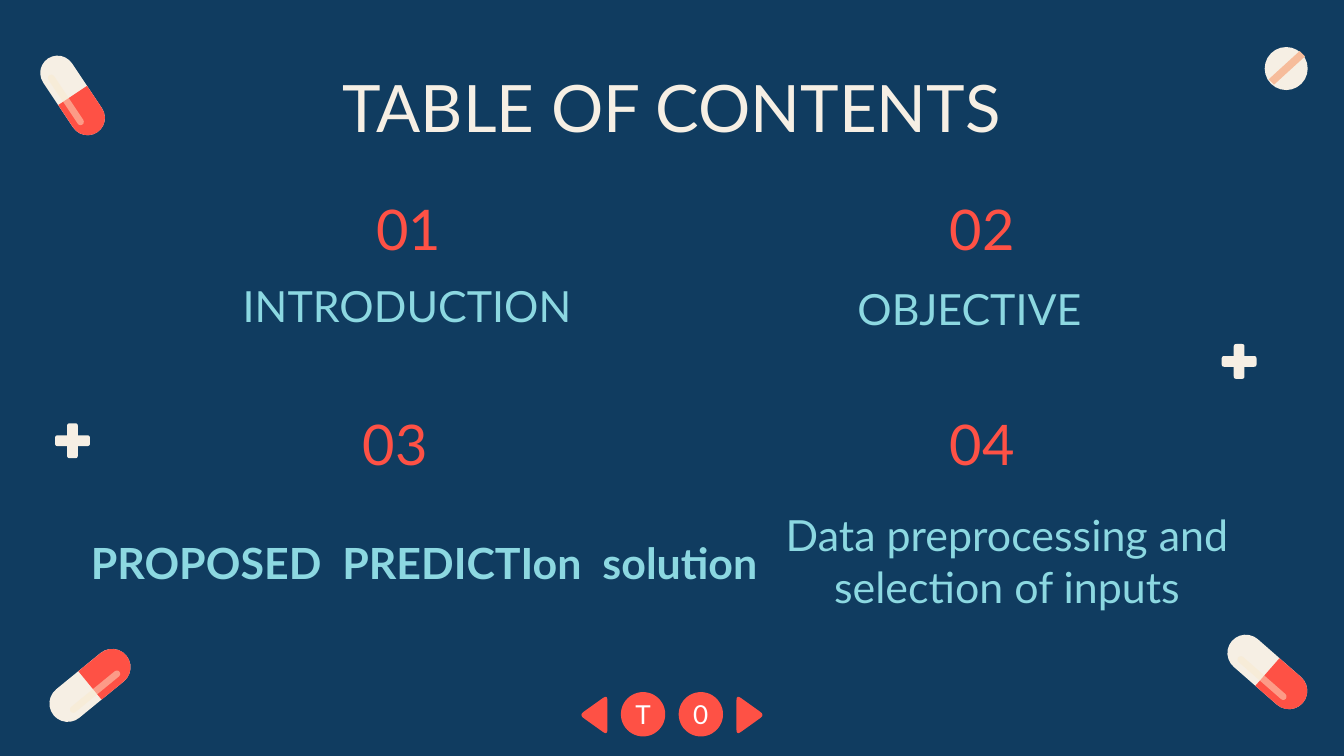
from math import cos, hypot, radians, sin

from lxml import etree
from pptx import Presentation
from pptx.dml.color import RGBColor
from pptx.enum.shapes import MSO_SHAPE
from pptx.enum.text import MSO_ANCHOR, MSO_AUTO_SIZE, PP_ALIGN
from pptx.oxml.ns import qn
from pptx.util import Inches, Pt

OVAL = MSO_SHAPE.OVAL
CAPSULE = MSO_SHAPE.ROUNDED_RECTANGLE
CAP = MSO_SHAPE.ROUND_2_SAME_RECTANGLE
TOP, MIDDLE = MSO_ANCHOR.TOP, MSO_ANCHOR.MIDDLE
CENTER = PP_ALIGN.CENTER
NO_AUTOFIT = MSO_AUTO_SIZE.NONE

NAVY, CREAM, RED, AQUA = "103C60", "F6EFE4", "FE5145", "8CD8E1"
PEACH, SHINE, WHITE = "F6BC9B", "FAE9CD", "FFFFFF"
FONT = "Lato"


def paint(fill, color):
    fill.solid()
    fill.fore_color.rgb = RGBColor.from_string(color)


def add_polygon(shapes, corners, color):
    """Draw a polygon from (x, y, radius) corners, rounding each by its radius."""
    points = []
    for i, (x, y, radius) in enumerate(corners):
        if not radius:
            points.append((x, y))
            continue
        ends = []
        for nx, ny, _ in (corners[i - 1], corners[(i + 1) % len(corners)]):
            share = radius / hypot(nx - x, ny - y)
            ends.append((x + (nx - x) * share, y + (ny - y) * share))
        for t in (0, 0.25, 0.5, 0.75, 1):
            weights = ((1 - t) ** 2, 2 * t * (1 - t), t ** 2)
            curve = (ends[0], (x, y), ends[1])
            points.append(tuple(sum(w * p[k] for w, p in zip(weights, curve)) for k in (0, 1)))
    points = [(Inches(x), Inches(y)) for x, y in points]
    builder = shapes.build_freeform(*points[0])
    builder.add_line_segments(points[1:], close=True)
    shape = builder.convert_to_shape()
    paint(shape.fill, color)
    shape.line.fill.background()
    shape.shadow.inherit = False


deck = Presentation()
deck.slide_width, deck.slide_height = Inches(10), Inches(10 * 9 / 16)
slide = deck.slides.add_slide(deck.slide_layouts[5])
shapes = slide.shapes
paint(slide.background.fill, NAVY)

# Plus signs: rounded outer corners, sharp inner ones
arm, reach = 0.04, 0.13
for x, y in ((0.54, 3.28), (9.22, 2.69)):
    corners = []
    for dx, dy in ((1, 0), (0, 1), (-1, 0), (0, -1)):
        for along, across, radius in ((reach, -arm, 0.02), (reach, arm, 0.02), (arm, arm, 0)):
            corners.append((x + along * dx - across * dy, y + along * dy + across * dx, radius))
    add_polygon(shapes, corners, CREAM)

# Round tablet with its score line
tablet = shapes.add_shape(OVAL, Inches(9.41), Inches(0.35), Inches(0.32), Inches(0.32))
paint(tablet.fill, CREAM)
tablet.line.fill.background()
tablet.shadow.inherit = False
add_polygon(shapes, [(9.67, 0.38, 0), (9.44, 0.59, 0), (9.48, 0.63, 0), (9.71, 0.42, 0)], PEACH)

# Pills: body, red half and shine, placed along and across the pill's axis
for x, y, length, angle in ((0.54, 0.71, 0.66, 56.3), (0.67, 5.1, 0.7, -39.3), (9.43, 5, 0.7, 41.2)):
    thick = 0.39 * length
    ux, uy = cos(radians(angle)), sin(radians(angle))
    for kind, width, height, along, across, turn, color in (
        (CAPSULE, length, thick, 0, 0, 0, CREAM),
        (CAP, thick, length / 2, length / 4, 0, 90, RED),
        (CAPSULE, length * 0.67, 0.05, 0, 0.06, 0, SHINE),
    ):
        cx, cy = x + along * ux - across * uy, y + along * uy + across * ux
        part = shapes.add_shape(kind, Inches(cx - width / 2), Inches(cy - height / 2),
                                Inches(width), Inches(height))
        part.adjustments[0] = 0.5
        part.rotation = angle + turn
        paint(part.fill, color)
        part.line.fill.background()
        part.shadow.inherit = False
        if color == SHINE:
            tone = part.fill._xPr.find(".//" + qn("a:srgbClr"))
            etree.SubElement(tone, qn("a:alpha"), val="49000")

# Navigation buttons and arrows
buttons = []
for x in (4.62, 5.05):
    button = shapes.add_shape(OVAL, Inches(x), Inches(5.15), Inches(0.33), Inches(0.33))
    paint(button.fill, RED)
    button.line.fill.background()
    button.shadow.inherit = False
    buttons.append(button)
for side in (1, -1):
    add_polygon(shapes, [(5 + side * 0.48, 5.17, 0.04), (5 + side * 0.69, 5.32, 0.04),
                         (5 + side * 0.48, 5.47, 0.04)], RED)

# Title and the four entries: text, left, top, width, height, size, color
texts = [(button, label, 14, WHITE) for button, label in zip(buttons, "T0")]
title = shapes.title
title.left, title.top, title.width, title.height = Inches(0.78), Inches(0.4), Inches(8.44), Inches(0.63)
texts.append((title, "TABLE OF CONTENTS", 35, CREAM))
proposal = "PROPOSED  PREDICTIon  solution"
for text, left, top, width, height, size, color in (
    ("01", 2.54, 1.37, 1, 0.65, 30, RED),
    ("INTRODUCTION", 1.44, 2.07, 3.18, 0.41, 23, AQUA),
    ("02", 6.81, 1.37, 1, 0.65, 30, RED),
    ("OBJECTIVE", 5.83, 2.09, 2.77, 0.41, 23, AQUA),
    ("03", 2.44, 2.97, 1, 0.65, 30, RED),
    (proposal, 0.44, 3.57, 5.44, 1.19, 23, AQUA),
    ("04", 6.81, 2.97, 1, 0.65, 30, RED),
    ("Data preprocessing and selection of inputs", 5.38, 3.45, 4.23, 1.44, 23, AQUA),
):
    box = shapes.add_textbox(Inches(left), Inches(top), Inches(width), Inches(height))
    texts.append((box, text, size, color))

# Text formatting
for box, text, size, color in texts:
    frame = box.text_frame
    frame.word_wrap = True
    frame.auto_size = NO_AUTOFIT
    frame.vertical_anchor = TOP if box is title else MIDDLE
    frame.margin_left = frame.margin_right = Inches(0 if box in buttons else 0.1)
    frame.margin_top = frame.margin_bottom = Inches(0.1)
    para = frame.paragraphs[0]
    para.alignment = CENTER
    span = para.add_run()
    span.text = text
    span.font.name = FONT
    span.font.size = Pt(size)
    span.font.bold = text == proposal
    paint(span.font.fill, color)
    if text == proposal:
        para.line_spacing = 1.08
        para.space_after = Pt(4.2)

deck.save("out.pptx")
